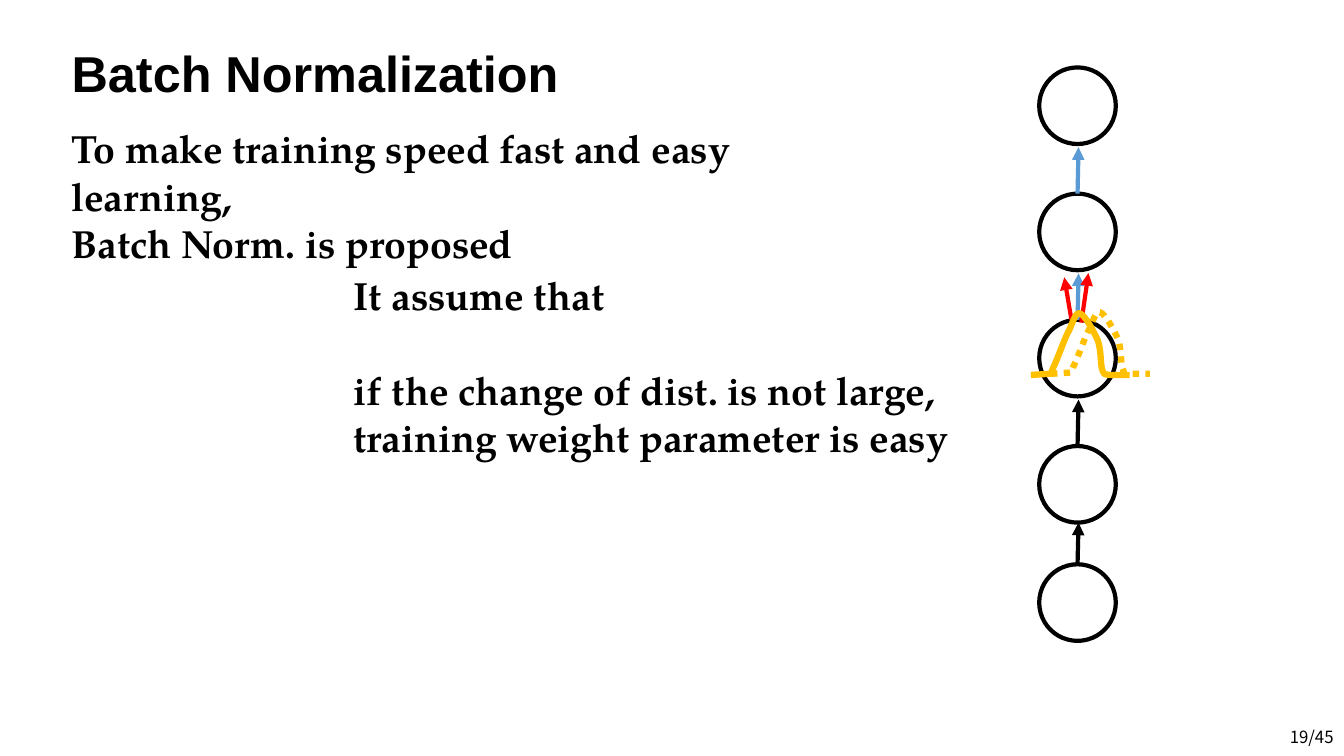
from dataclasses import dataclass

from lxml import etree
from pptx import Presentation
from pptx.dml.color import RGBColor
from pptx.enum import dml, shapes, text
from pptx.oxml import ns
from pptx.util import Cm, Pt


@dataclass(frozen=True)
class Theme:
    ink: RGBColor = RGBColor(0x00, 0x00, 0x00)
    paper: RGBColor = RGBColor(0xFF, 0xFF, 0xFF)
    blue: RGBColor = RGBColor(0x5B, 0x9B, 0xD5)
    red: RGBColor = RGBColor(0xFF, 0x00, 0x00)
    amber: RGBColor = RGBColor(0xFF, 0xC0, 0x00)
    title_font: str = "Arial"
    body_font: str = "TeX Gyre Pagella"
    number_font: str = "Noto Sans CJK KR"
    title_size: Pt = Pt(36)
    body_size: Pt = Pt(28)
    number_size: Pt = Pt(12)
    line_width: Pt = Pt(3)
    curve_width: Pt = Pt(4.5)


THEME = Theme()

NODE_LEFT, NODE_SIZE = 26.19, 1.93
NODE_TOPS = [1.7 + 3.18 * step for step in range(4)] + [14.22]
ARROW_END_X = 27.18

# Bell outline in cm: a start, then cubic segments (two controls and an end).
BELL_LEAD = [(0, 1.55), (0.46, 1.52)]
BELL_CURVES = [
    [(0.56, 1.5), (0.48, 1.57), (0.56, 1.37)],
    [(0.66, 1.19), (0.84, 0.64), (0.97, 0.41)],
    [(1.07, 0.18), (1.14, -0.05), (1.24, 0)],
    [(1.37, 0.05), (1.57, 0.43), (1.68, 0.66)],
    [(1.78, 0.91), (1.75, 1.3), (1.8, 1.42)],
    [(1.85, 1.57), (1.88, 1.52), (1.98, 1.55)],
]
BELL_END = (2.49, 1.55)


def style_run(paragraph, font_name, size, bold=True):
    for span in paragraph.runs:
        span.font.name = font_name
        span.font.size = size
        span.font.bold = bold
        span.font.color.rgb = THEME.ink


def add_title(page, wording):
    title = page.shapes.title
    title.left, title.top, title.width, title.height = Cm(1.55), Cm(1.09), Cm(20.93), Cm(1.65)
    frame = title.text_frame
    frame.text = wording
    frame.auto_size = text.MSO_AUTO_SIZE.NONE
    frame.vertical_anchor = text.MSO_ANCHOR.MIDDLE
    para = frame.paragraphs[0]
    para.alignment = text.PP_ALIGN.LEFT
    para.line_spacing = 0.9
    style_run(para, THEME.title_font, THEME.title_size)


def add_text(page, left, top, width, height, lines):
    box = page.shapes.add_textbox(Cm(left), Cm(top), Cm(width), Cm(height))
    frame = box.text_frame
    frame.word_wrap = True
    frame.auto_size = text.MSO_AUTO_SIZE.SHAPE_TO_FIT_TEXT
    frame.text = "\n".join(lines)
    for para in frame.paragraphs:
        style_run(para, THEME.body_font, THEME.body_size)
    return frame


def add_page_number(page, wording):
    box = page.shapes.add_textbox(Cm(26.24), Cm(18.06), Cm(7.62), Cm(1.02))
    frame = box.text_frame
    frame.word_wrap = True
    frame.vertical_anchor = text.MSO_ANCHOR.MIDDLE
    frame.text = wording
    para = frame.paragraphs[0]
    para.alignment = text.PP_ALIGN.RIGHT
    style_run(para, THEME.number_font, THEME.number_size, bold=False)


def add_node(page, top):
    node = page.shapes.add_shape(
        shapes.MSO_SHAPE.OVAL, Cm(NODE_LEFT), Cm(top), Cm(NODE_SIZE), Cm(NODE_SIZE)
    )
    node.shadow.inherit = False
    node.fill.solid()
    node.fill.fore_color.rgb = THEME.paper
    node.line.color.rgb = THEME.ink
    node.line.width = THEME.line_width
    return node


def add_arrow(page, start, end, color):
    arrow = page.shapes.add_connector(
        shapes.MSO_CONNECTOR.STRAIGHT, *(Cm(value) for value in (*start, *end))
    )
    arrow.line.color.rgb = color
    arrow.line.width = THEME.line_width
    etree.SubElement(arrow.line._get_or_add_ln(), ns.qn("a:tailEnd"), type="triangle")
    etree.SubElement(arrow._element.spPr, ns.qn("a:effectLst"))
    return arrow


def add_network(page):
    """Draw the column of nodes, each with an arrow up to the one above."""
    nodes = [add_node(page, top) for top in NODE_TOPS]
    colors = [THEME.blue, THEME.blue, THEME.ink, THEME.ink]
    gaps = [0.08, 0.08, 0.08, 0]
    center = NODE_LEFT + NODE_SIZE / 2
    for index, (color, gap) in enumerate(zip(colors, gaps)):
        start = (center, NODE_TOPS[index + 1])
        end = (ARROW_END_X, NODE_TOPS[index] + NODE_SIZE + gap)
        add_arrow(page, start, end, color).begin_connect(nodes[index + 1], 0)


def bell_points(steps=8):
    """Sample the cubic segments of the bell outline."""
    points = list(BELL_LEAD)
    for curve in BELL_CURVES:
        corners = [points[-1], *curve]
        for step in range(1, steps + 1):
            t = step / steps
            weights = ((1 - t) ** 3, 3 * t * (1 - t) ** 2, 3 * t**2 * (1 - t), t**3)
            points.append(
                tuple(sum(w * c[axis] for w, c in zip(weights, corners)) for axis in (0, 1))
            )
    return points + [BELL_END]


def add_bell(page, left, top, dash=None):
    points = [(Cm(left + x), Cm(top + y)) for x, y in bell_points()]
    builder = page.shapes.build_freeform(*points[0])
    builder.add_line_segments(points[1:], close=False)
    bell = builder.convert_to_shape()
    bell.shadow.inherit = False
    bell.fill.background()
    bell.line.color.rgb = THEME.amber
    bell.line.width = THEME.curve_width
    if dash:
        bell.line.dash_style = dash


def main():
    deck = Presentation()
    deck.slide_width, deck.slide_height = Cm(33.87), Cm(19.05)
    page = deck.slides.add_slide(deck.slide_layouts[5])

    add_title(page, "Batch Normalization")
    add_text(page, 1.55, 3.02, 21.29, 2.64, [
        "To make training speed fast and easy learning,",
        "Batch Norm. is proposed",
    ])
    add_network(page)
    add_page_number(page, "19/45")
    add_arrow(page, (27.25, 8.13), (27.43, 6.88), THEME.red)
    add_arrow(page, (27.0, 8.05), (26.82, 6.99), THEME.red)
    assumption = add_text(page, 8.66, 6.71, 17.75, 5.05, [
        "It assume that",
        "if the change of dist. is not large,",
        "training weight parameter is easy",
    ])
    assumption.paragraphs[1].space_before = Pt(34)
    add_bell(page, 25.98, 7.9)
    add_bell(page, 26.49, 7.87, dash=dml.MSO_LINE.ROUND_DOT)

    deck.save("out.pptx")


if __name__ == "__main__":
    main()
